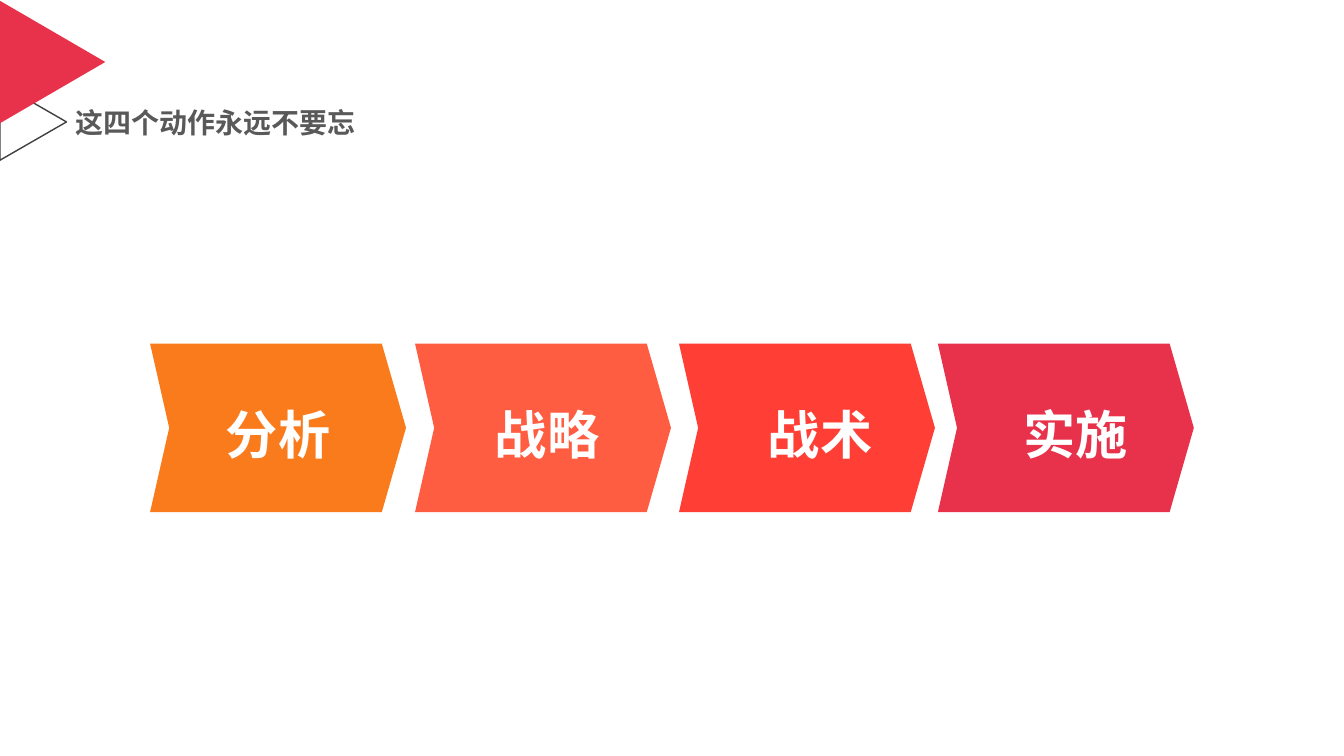
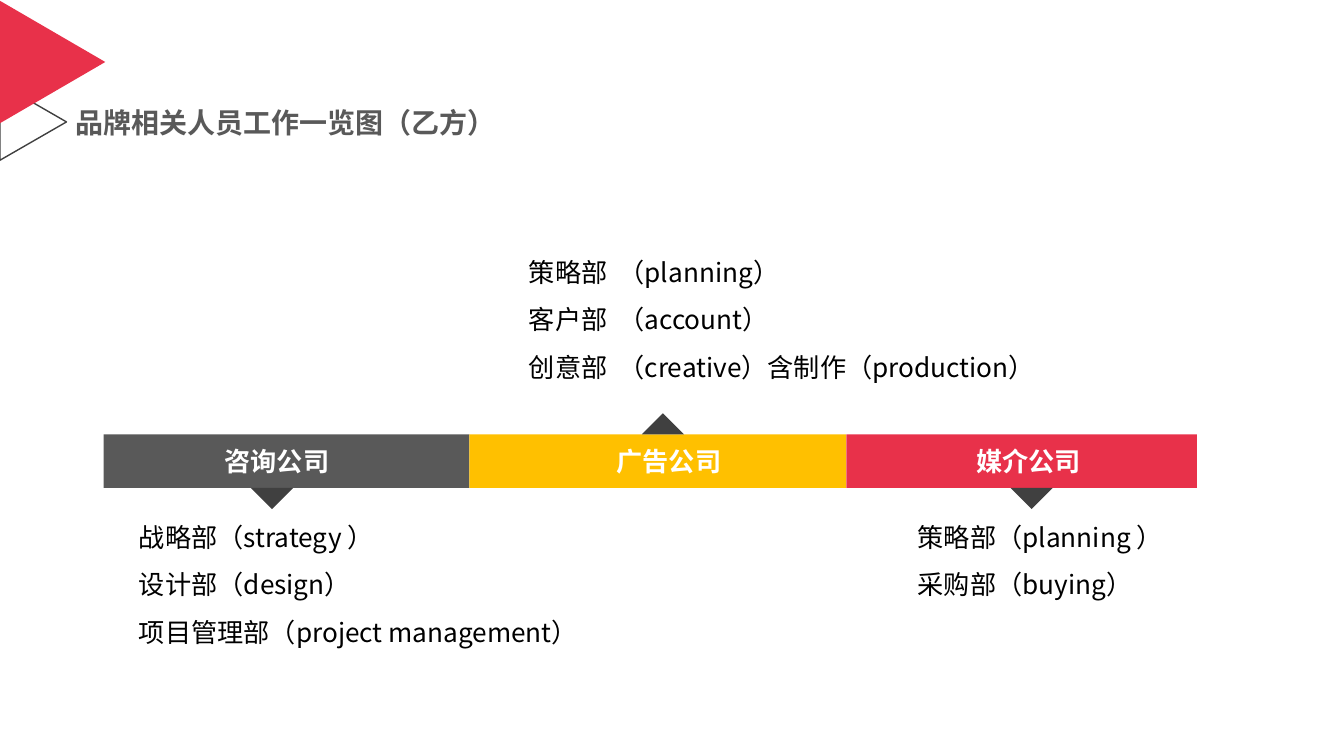
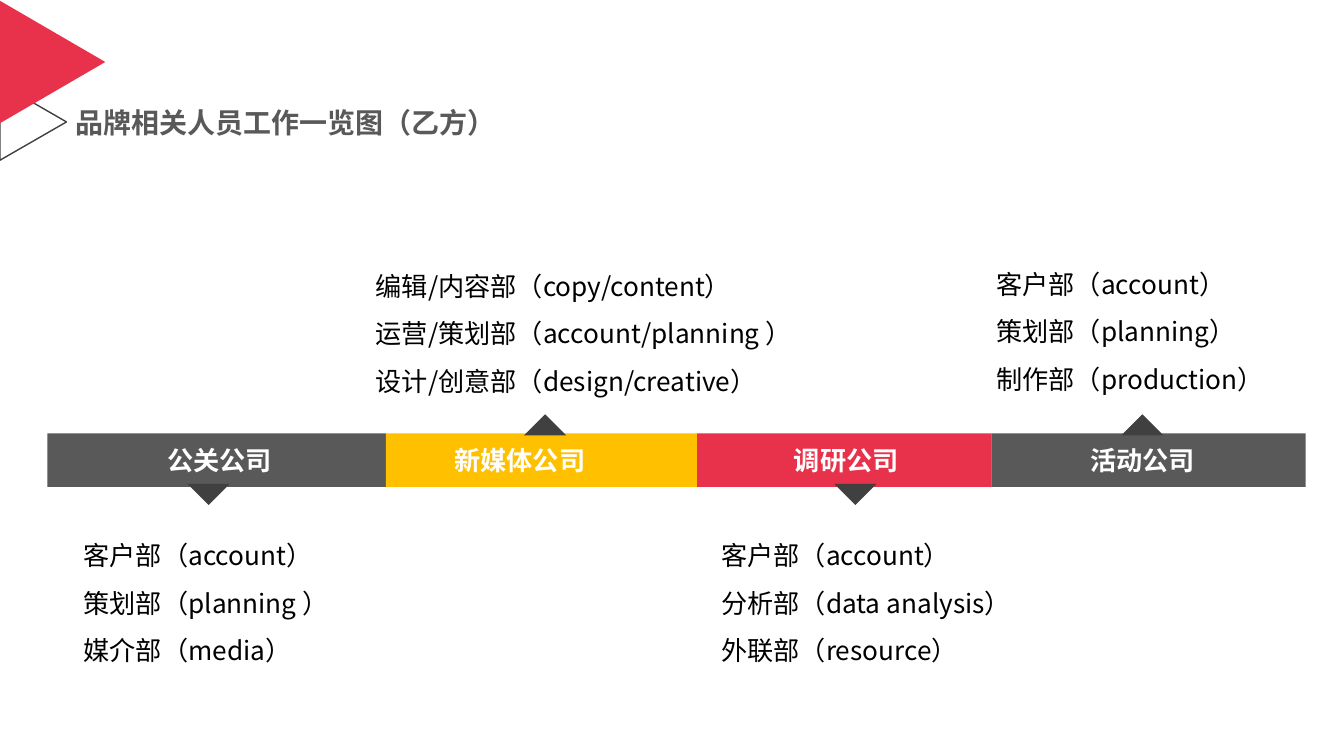
from dataclasses import dataclass

from lxml.etree import SubElement
from pptx import Presentation
from pptx.dml.color import RGBColor
from pptx.enum.shapes import MSO_SHAPE as Preset
from pptx.enum.text import MSO_ANCHOR as Anchor, MSO_AUTO_SIZE as AutoSize, PP_ALIGN as Align
from pptx.oxml.ns import qn
from pptx.util import Inches, Pt

# Shared look
FONT = "Noto Sans CJK SC"
WHITE, BLACK = "FFFFFF", "000000"
RED, YELLOW, GREY, DARK = "E8314A", "FFC000", "595959", "404040"
MARGIN = Inches(0.05)
MARGINS = {f"margin_{side}": MARGIN for side in ("left", "top", "right", "bottom")}
TITLE_FRAME = {**MARGINS, "vertical_anchor": Anchor.MIDDLE, "word_wrap": False,
               "auto_size": AutoSize.SHAPE_TO_FIT_TEXT}
LIST_FRAME = {**MARGINS, "vertical_anchor": Anchor.TOP, "word_wrap": True,
              "auto_size": AutoSize.SHAPE_TO_FIT_TEXT}
TITLE_TEXT = {"size": Pt(20), "bold": True}
STEP_TEXT = {"size": Pt(37.3), "bold": True}
COMPANY_TEXT = {"size": Pt(18.7), "bold": True}
LIST_TEXT = {"size": Pt(18.7), "bold": False}
BAND_HEIGHT = 0.53
POINTER_WIDTH, POINTER_HEIGHT = 0.42, 0.21


@dataclass
class Company:
    name: str
    color: str
    label_x: float
    pointer_x: float
    list_box: tuple
    departments: tuple


# Helpers
def rgb(hex_color):
    return RGBColor.from_string(hex_color)


def apply(target, values):
    for name, value in values.items():
        setattr(target, name, value)


def paint(shape, fill=None, line=None):
    shape.shadow.inherit = False
    if fill:
        shape.fill.solid()
        shape.fill.fore_color.rgb = rgb(fill)
    else:
        shape.fill.background()
    if line:
        shape.line.color.rgb = rgb(line)
        shape.line.width = Pt(1)
    else:
        shape.line.fill.background()


def write(paragraph, text, text_format, color, align=Align.LEFT, spacing=1.0):
    apply(paragraph, {"alignment": align, "line_spacing": spacing})
    run = paragraph.add_run()
    run.text = text
    apply(run.font, {"name": FONT, **text_format})
    run.font.color.rgb = rgb(color)
    SubElement(run._r.get_or_add_rPr(), qn("a:ea")).set("typeface", FONT)


def add_preset(slide, preset, box, rotation=0, **colors):
    shape = slide.shapes.add_shape(preset, *map(Inches, box))
    shape.rotation = rotation
    paint(shape, **colors)
    return shape


def add_label(shape, text, text_format, center_x, drop=0):
    """Centre white text in a shape, around center_x and lowered by drop."""
    shift = 2 * (Inches(center_x) - shape.left - shape.width // 2)
    apply(shape.text_frame, {
        "margin_left": max(shift, 0), "margin_right": max(-shift, 0),
        "margin_top": Inches(2 * drop), "margin_bottom": 0,
        "vertical_anchor": Anchor.MIDDLE, "word_wrap": True})
    write(shape.text_frame.paragraphs[0], text, text_format, WHITE, Align.CENTER)


# Shared slide parts
def move_corner_to_layout(slide, layout):
    """Draw the corner triangles once and hand them to the layout."""
    for holder in list(layout.placeholders):
        if holder.placeholder_format.idx:
            holder._element.getparent().remove(holder._element)
    corner = (
        add_preset(slide, Preset.ISOSCELES_TRIANGLE, (-0.05, 0.88, 0.76, 0.66), 90, line=DARK),
        add_preset(slide, Preset.ISOSCELES_TRIANGLE, (-0.09, 0.09, 1.22, 1.05), 90, fill=RED))
    for triangle in corner:
        layout.shapes._spTree.append(triangle._element)


def set_title(slide, text):
    title = slide.shapes.title
    width = 0.28 * len(text) + 0.11
    apply(title, {"left": Inches(0.7), "top": Inches(1.03),
                  "width": Inches(width), "height": Inches(0.41)})
    apply(title.text_frame, TITLE_FRAME)
    write(title.text_frame.paragraphs[0], text, TITLE_TEXT, GREY, spacing=0.9)


# Step arrows
def add_step(slide, left, color, text, label_x):
    top, height, notch, body, tip = 3.41, 1.67, 0.19, 2.3, 2.54
    middle, bottom = top + height / 2, top + height
    outline = ((left + body, top), (left + tip, middle), (left + body, bottom),
               (left, bottom), (left + notch, middle))
    builder = slide.shapes.build_freeform(Inches(left), Inches(top))
    builder.add_line_segments([(Inches(x), Inches(y)) for x, y in outline], close=True)
    step = builder.convert_to_shape()
    paint(step, fill=color)
    add_label(step, text, STEP_TEXT, label_x, drop=0.06)


# Company band with department lists
def add_departments(slide, box, departments):
    left, top, width = box
    holder = slide.shapes.add_textbox(*map(Inches, (left, top, width, 1.51)))
    frame = holder.text_frame
    apply(frame, LIST_FRAME)
    for index, department in enumerate(departments):
        paragraph = frame.add_paragraph() if index else frame.paragraphs[0]
        if "\t" in department:
            tabs = SubElement(paragraph._p.get_or_add_pPr(), qn("a:tabLst"))
            SubElement(tabs, qn("a:tab"), pos=str(Inches(0.89)), algn="l")
        write(paragraph, department, LIST_TEXT, BLACK, spacing=1.5)


def add_company_band(slide, top, edges, down_top, up_top, companies):
    for left, right, company in zip(edges, edges[1:], companies):
        bar = add_preset(slide, Preset.RECTANGLE, (left, top, right - left, BAND_HEIGHT),
                         fill=company.color)
        add_label(bar, company.name, COMPANY_TEXT, company.label_x)
    # Pointers and lists alternate below and above the band
    for index, company in enumerate(companies):
        pointer_top, rotation = (up_top, 0) if index % 2 else (down_top, 180)
        add_preset(slide, Preset.ISOSCELES_TRIANGLE,
                   (company.pointer_x - POINTER_WIDTH / 2, pointer_top,
                    POINTER_WIDTH, POINTER_HEIGHT), rotation, fill=DARK)
        add_departments(slide, company.list_box, company.departments)


# Content
STEPS = (
    (1.49, "FA7B1C", "分析", 2.76),
    (4.12, "FF5D42", "战略", 5.43),
    (6.74, "FF3E36", "战术", 8.14),
    (9.31, RED, "实施", 10.68),
)
AGENCIES = (
    Company("咨询公司", GREY, 2.75, 2.7, (1.33, 4.97, 5.24),
            ("战略部（strategy ）", "设计部（design）", "项目管理部（project management）")),
    Company("广告公司", YELLOW, 6.64, 6.58, (5.2, 2.34, 5.8),
            ("策略部\t（planning）", "客户部\t（account）",
             "创意部\t（creative）含制作（production）")),
    Company("媒介公司", RED, 10.21, 10.24, (9.06, 4.97, 3.97),
            ("策略部（planning ）", "采购部（buying）")),
)
SERVICE_FIRMS = (
    Company("公关公司", GREY, 2.18, 2.07, (0.78, 5.15, 2.74),
            ("客户部（account）", "策划部（planning ）", "媒介部（media）")),
    Company("新媒体公司", YELLOW, 5.16, 5.41, (3.68, 2.48, 4.83),
            ("编辑/内容部（copy/content）", "运营/策划部（account/planning ）",
             "设计/创意部（design/creative）")),
    Company("调研公司", RED, 8.4, 8.49, (7.11, 5.15, 3.19),
            ("客户部（account）", "分析部（data analysis）", "外联部（resource）")),
    Company("活动公司", GREY, 11.34, 11.34, (9.84, 2.46, 3.19),
            ("客户部（account）", "策划部（planning）", "制作部（production）")),
)


def main():
    deck = Presentation()
    apply(deck, {"slide_width": Inches(13.34), "slide_height": Inches(7.5)})
    layout = deck.slide_layouts[5]
    titles = ("这四个动作永远不要忘", "品牌相关人员工作一览图（乙方）",
              "品牌相关人员工作一览图（乙方）")
    slides = [deck.slides.add_slide(layout) for _ in titles]
    move_corner_to_layout(slides[0], layout)
    for slide, title in zip(slides, titles):
        set_title(slide, title)
    actions, agencies, services = slides

    for step in STEPS:
        add_step(actions, *step)
    add_company_band(agencies, 4.31, (1.03, 4.66, 8.4, 11.88), 4.84, 4.1, AGENCIES)
    add_company_band(services, 4.3, (0.47, 3.83, 6.92, 9.84, 12.96), 4.8, 4.11, SERVICE_FIRMS)
    deck.save("out.pptx")


if __name__ == "__main__":
    main()
